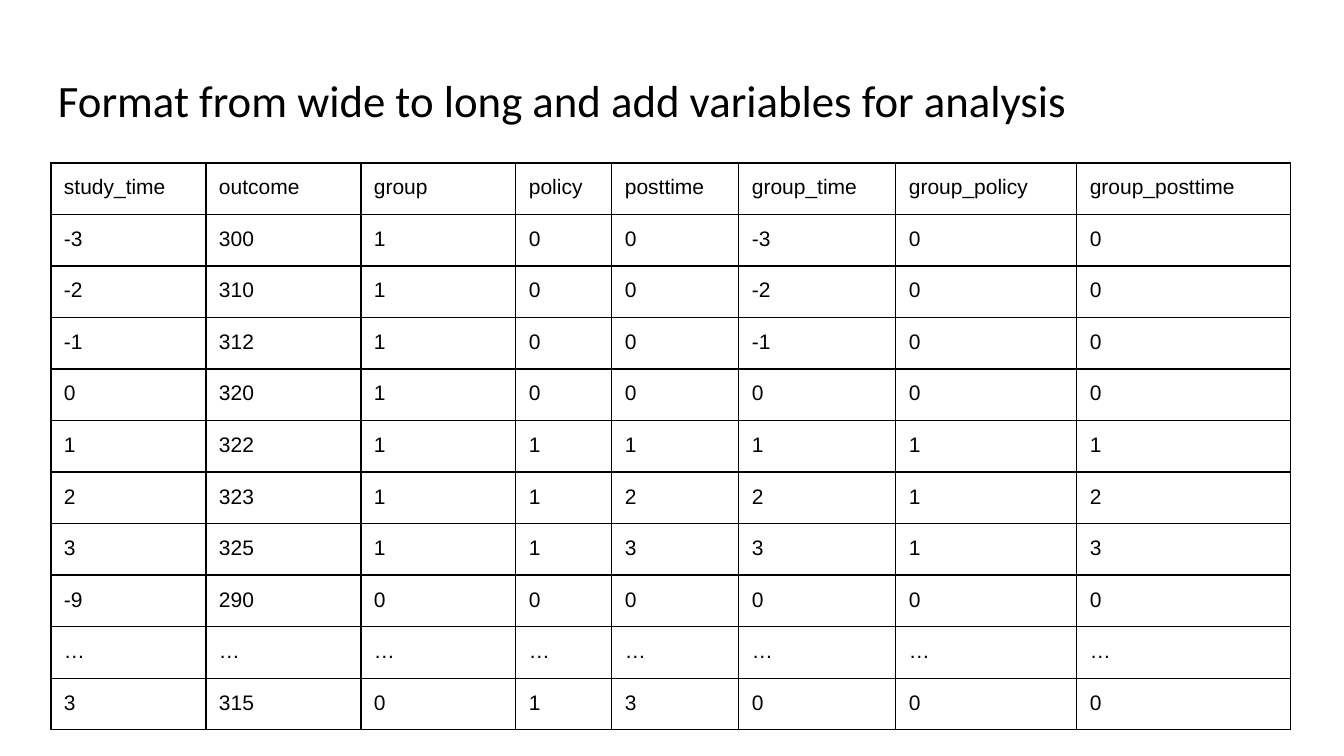
"""Build a slide with a title and a long-format table of analysis variables."""
from lxml import etree
from pptx import Presentation
from pptx import util as u
from pptx.dml.color import RGBColor
from pptx.enum import text
from pptx.oxml.ns import qn

TITLE = "Format from wide to long and add variables for analysis"
HEADER = ["study_time", "outcome", "group", "policy", "posttime",
          "group_time", "group_policy", "group_posttime"]
DATA = [
    (-3, 300, 1, 0, 0, -3, 0, 0),
    (-2, 310, 1, 0, 0, -2, 0, 0),
    (-1, 312, 1, 0, 0, -1, 0, 0),
    (0, 320, 1, 0, 0, 0, 0, 0),
    (1, 322, 1, 1, 1, 1, 1, 1),
    (2, 323, 1, 1, 2, 2, 1, 2),
    (3, 325, 1, 1, 3, 3, 1, 3),
    (-9, 290, 0, 0, 0, 0, 0, 0),
    ("…",) * len(HEADER),
    (3, 315, 0, 1, 3, 0, 0, 0),
]
COL_WIDTHS = [155, 155, 155, 96, 127, 157, 181, 214]
TITLE_BOX = (45, 66, 1252, 162)
TABLE_LEFT, TABLE_TOP, TABLE_HEIGHT = 51, 163, 567
INSET = 13
BLACK = "000000"


def px(n):
    return u.Emu(round(n * 914400 / 100.8))


def color(value):
    return RGBColor.from_string(value)


def set_insets(obj):
    obj.margin_left = obj.margin_right = px(INSET)
    obj.margin_top = obj.margin_bottom = px(INSET)


def write(p, value, font, size):
    p.text = str(value)
    f = p.runs[0].font
    f.name, f.size, f.color.rgb = font, u.Pt(size), color(BLACK)


def add_borders(cell):
    tcPr = cell._tc.get_or_add_tcPr()
    for i, side in enumerate(("lnL", "lnR", "lnT", "lnB")):
        ln = etree.Element(qn("a:" + side), w=str(u.Pt(1)))
        fill = etree.SubElement(ln, qn("a:solidFill"))
        etree.SubElement(fill, qn("a:srgbClr"), val=BLACK)
        tcPr.insert(i, ln)


def add_title(s):
    tf = s.shapes.add_textbox(*map(px, TITLE_BOX)).text_frame
    tf.word_wrap = True
    tf.vertical_anchor = text.MSO_ANCHOR.TOP
    set_insets(tf)
    p = tf.paragraphs[0]
    p.line_spacing = 0.9
    write(p, TITLE, "Calibri", 32)


def add_data_table(s):
    rows = [HEADER, *DATA]
    box = (TABLE_LEFT, TABLE_TOP, sum(COL_WIDTHS), TABLE_HEIGHT)
    tbl = s.shapes.add_table(len(rows), len(HEADER), *map(px, box)).table
    tbl.first_row = tbl.horz_banding = False
    for col, width in zip(tbl.columns, COL_WIDTHS):
        col.width = px(width)
    for r, row in enumerate(rows):
        for c, value in enumerate(row):
            cell = tbl.cell(r, c)
            set_insets(cell)
            cell.fill.background()
            add_borders(cell)
            write(cell.text_frame.paragraphs[0], value, "Arial", 15)


def main():
    prs = Presentation()
    prs.slide_width, prs.slide_height = px(1344), px(756)
    s = prs.slides.add_slide(prs.slide_layouts[6])
    add_title(s)
    add_data_table(s)
    prs.save("out.pptx")


if __name__ == "__main__":
    main()
